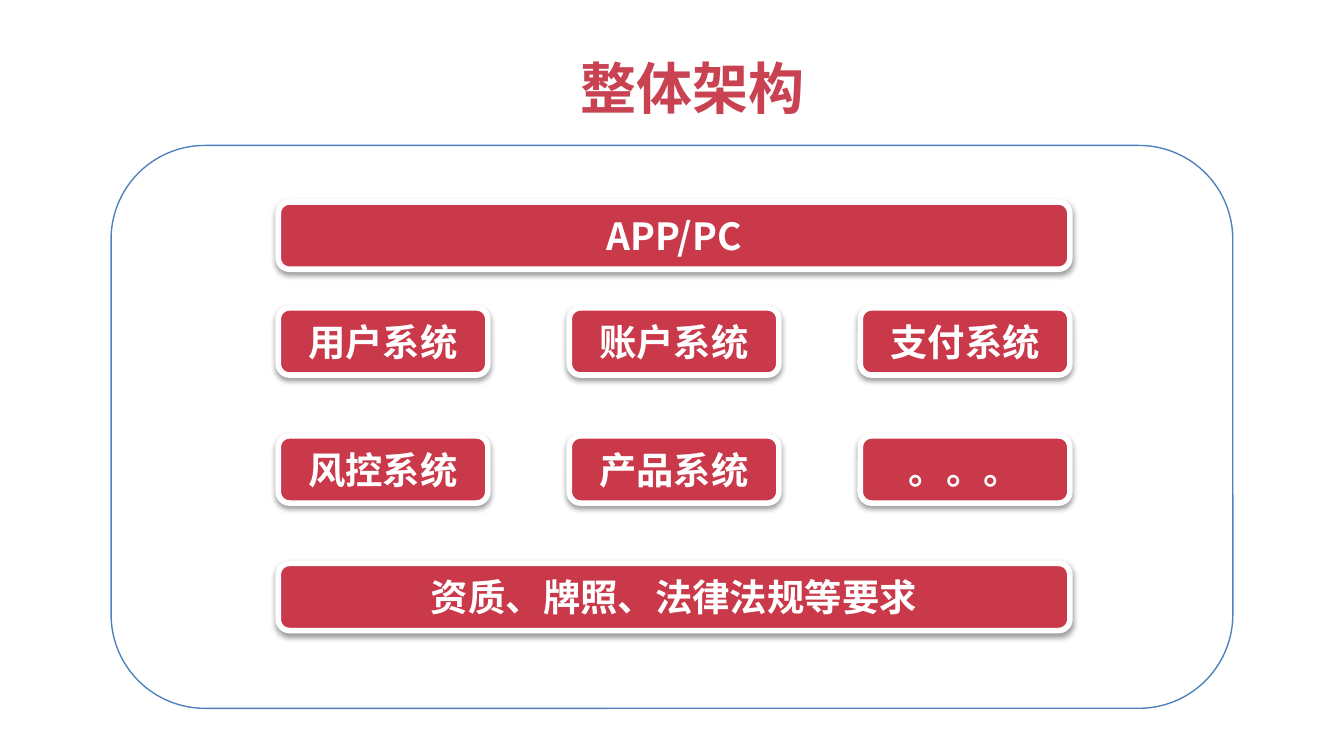
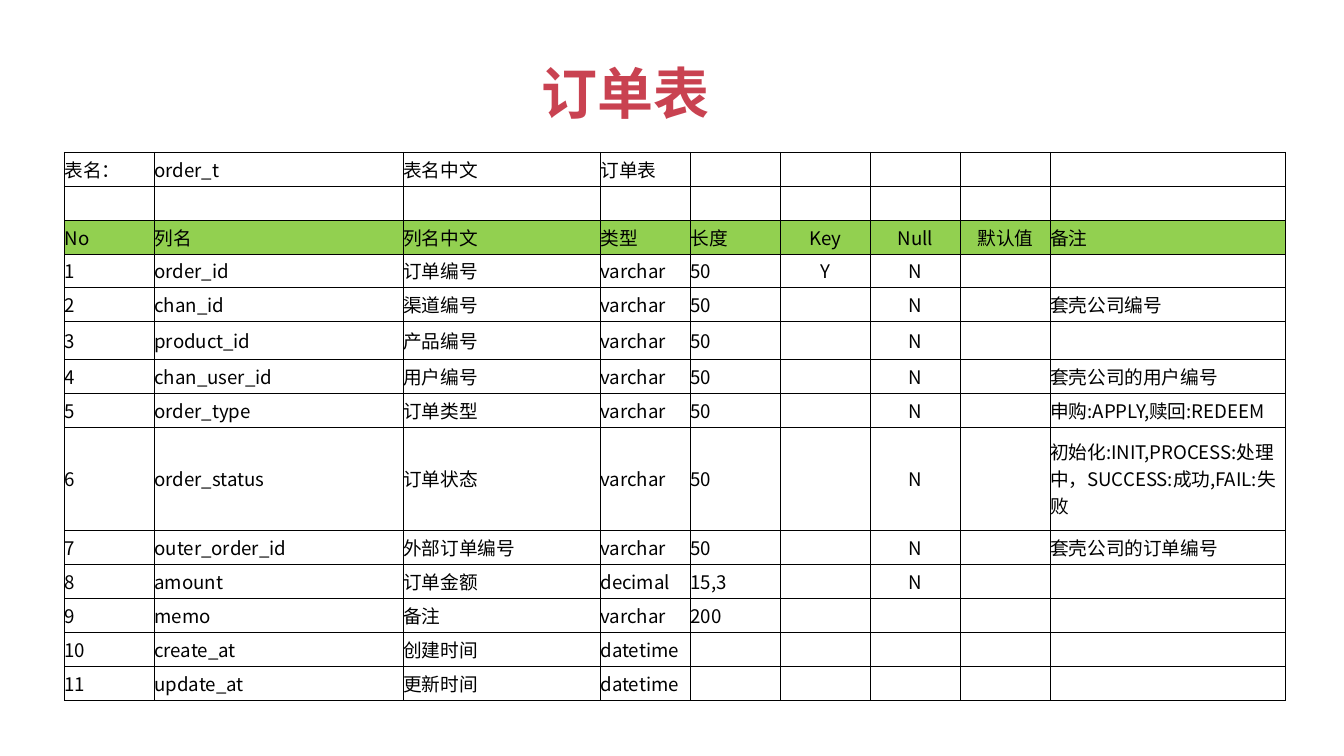
from dataclasses import dataclass

from lxml.etree import SubElement
from pptx import Presentation
from pptx.dml.color import RGBColor
from pptx.enum.shapes import MSO_SHAPE as Shape
from pptx.enum.text import MSO_ANCHOR as Anchor, MSO_AUTO_SIZE as AutoSize, PP_ALIGN as Align
from pptx.oxml.ns import qn
from pptx.util import Cm, Pt


@dataclass(frozen=True)
class Theme:
    font: str = "Noto Sans CJK SC"
    title: str = "C94251"
    box: str = "C9394A"
    white: str = "FFFFFF"
    black: str = "000000"
    frame: str = "4F81BD"
    header: str = "92D050"
    title_size: int = 30
    box_size: int = 20
    cell_size: int = 10


THEME = Theme()

BOX_LEFT, BOX_WIDTH, BOX_HEIGHT = 5.26, 3.96, 1.27
BOX_PITCH = 5.5
LAYERS = [
    (3.82, ["APP/PC"]),
    (5.82, ["用户系统", "账户系统", "支付系统"]),
    (8.24, ["风控系统", "产品系统", "。。。"]),
    (10.65, ["资质、牌照、法律法规等要求"]),
]

COLUMN_WIDTHS = [1.7, 4.7, 3.73, 1.7, 1.7, 1.7, 1.7, 1.7, 4.45]
CENTRED_COLUMNS = (5, 6, 7)
ROW_HEIGHT = 0.64
TALL_ROWS = {5: 0.71, 8: 1.96}
HEADER_ROW = 2
ORDER_ROWS = [
    ["表名：", "order_t", "表名中文", "订单表", "", "", "", "", ""],
    [""] * len(COLUMN_WIDTHS),
    ["No", "列名", "列名中文", "类型", "长度", "Key", "Null", "默认值", "备注"],
    ["1", "order_id", "订单编号", "varchar", "50", "Y", "N", "", ""],
    ["2", "chan_id", "渠道编号", "varchar", "50", "", "N", "", "套壳公司编号"],
    ["3", "product_id", "产品编号", "varchar", "50", "", "N", "", ""],
    ["4", "chan_user_id", "用户编号", "varchar", "50", "", "N", "", "套壳公司的用户编号"],
    ["5", "order_type", "订单类型", "varchar", "50", "", "N", "", "申购:APPLY,赎回:REDEEM"],
    ["6", "order_status", "订单状态", "varchar", "50", "", "N", "",
     "初始化:INIT,PROCESS:处理中，SUCCESS:成功,FAIL:失败"],
    ["7", "outer_order_id", "外部订单编号", "varchar", "50", "", "N", "", "套壳公司的订单编号"],
    ["8", "amount", "订单金额", "decimal", "15,3", "", "N", "", ""],
    ["9", "memo", "备注", "varchar", "200", "", "", "", ""],
    ["10", "create_at", "创建时间", "datetime", "", "", "", "", ""],
    ["11", "update_at", "更新时间", "datetime", "", "", "", "", ""],
]


def rgb(value):
    return RGBColor.from_string(value)


def write_text(frame, text, *, size, color, bold=False, align=Align.LEFT):
    """Fill the frame's first paragraph; an empty one keeps only its type size."""
    para = frame.paragraphs[0]
    para.alignment = align
    if not text:
        SubElement(para._p, qn("a:endParaRPr"), sz=str(size * 100))
        return
    span = para.add_run()
    span.text = text
    font = span.font
    font.name, font.size, font.bold = THEME.font, Pt(size), bold
    font.color.rgb = rgb(color)
    SubElement(span._r.get_or_add_rPr(), qn("a:ea"), typeface=THEME.font)


def add_titled_slide(deck, title, left, top, width):
    page = deck.slides.add_slide(deck.slide_layouts.get_by_name("Title Only"))
    box = page.shapes.title
    box.left, box.top, box.width, box.height = Cm(left), Cm(top), Cm(width), Cm(1.52)
    frame = box.text_frame
    frame.margin_left = frame.margin_right = 0
    frame.word_wrap = False
    frame.auto_size = AutoSize.NONE
    frame.vertical_anchor = Anchor.MIDDLE
    write_text(frame, title, size=THEME.title_size, color=THEME.title,
               bold=True, align=Align.CENTER)
    return page


def add_rounded(page, left, top, width, height, *, line, line_width, fill=None):
    box = page.shapes.add_shape(Shape.ROUNDED_RECTANGLE,
                                Cm(left), Cm(top), Cm(width), Cm(height))
    box.shadow.inherit = False
    if fill:
        box.fill.solid()
        box.fill.fore_color.rgb = rgb(fill)
    else:
        box.fill.background()
    box.line.color.rgb = rgb(line)
    box.line.width = Pt(line_width)
    return box


def add_drop_shadow(box):
    effects = box.element.spPr.find(qn("a:effectLst"))
    shadow = SubElement(effects, qn("a:outerShdw"), blurRad=str(Pt(3.1)),
                        dist=str(Pt(1.6)), dir="5400000", rotWithShape="0")
    color = SubElement(shadow, qn("a:srgbClr"), val=THEME.black)
    SubElement(color, qn("a:alpha"), val="38000")


def add_system_box(page, text, left, top, width):
    box = add_rounded(page, left, top, width, BOX_HEIGHT,
                      line=THEME.white, line_width=3, fill=THEME.box)
    add_drop_shadow(box)
    frame = box.text_frame
    frame.word_wrap = True
    frame.vertical_anchor = Anchor.MIDDLE
    write_text(frame, text, size=THEME.box_size, color=THEME.white,
               bold=True, align=Align.CENTER)


def set_borders(cell, **widths):
    """Draw the borders named L, R, T and B, with widths in points."""
    properties = cell._tc.get_or_add_tcPr()
    for side, width in widths.items():
        line = SubElement(properties, qn(f"a:ln{side}"), w=str(Pt(width)))
        fill = SubElement(line, qn("a:solidFill"))
        SubElement(fill, qn("a:srgbClr"), val=THEME.black)


def format_cell(cell, text, row, column):
    cell.margin_left = cell.margin_right = cell.margin_top = cell.margin_bottom = 0
    cell.vertical_anchor = Anchor.MIDDLE
    side = 0.75 if row < HEADER_ROW else 0.5
    bottom = 0.75 if row == 0 else 0.5
    set_borders(cell, L=side, R=side, T=side, B=bottom)
    if row == HEADER_ROW:
        cell.fill.solid()
        cell.fill.fore_color.rgb = rgb(THEME.header)
    else:
        cell.fill.background()
    align = Align.CENTER if column in CENTRED_COLUMNS else Align.LEFT
    write_text(cell.text_frame, text, size=THEME.cell_size,
               color=THEME.black, align=align)


def add_order_table(page, left, top):
    heights = [TALL_ROWS.get(row, ROW_HEIGHT) for row in range(len(ORDER_ROWS))]
    table = page.shapes.add_table(len(heights), len(COLUMN_WIDTHS), Cm(left), Cm(top),
                                  Cm(sum(COLUMN_WIDTHS)), Cm(sum(heights))).table
    table.first_row = table.horz_banding = False
    for column, width in zip(table.columns, COLUMN_WIDTHS):
        column.width = Cm(width)
    for row, (height, texts) in enumerate(zip(heights, ORDER_ROWS)):
        table.rows[row].height = Cm(height)
        for column, text in enumerate(texts):
            format_cell(table.cell(row, column), text, row, column)


def build_architecture(deck):
    page = add_titled_slide(deck, "整体架构", 10.72, 0.89, 4.75)
    add_rounded(page, 2.1, 2.75, 21.2, 10.64, line=THEME.frame, line_width=0.75)
    full_width = 2 * BOX_PITCH + BOX_WIDTH
    for top, names in LAYERS:
        width = full_width if len(names) == 1 else BOX_WIDTH
        for index, name in enumerate(names):
            add_system_box(page, name, BOX_LEFT + index * BOX_PITCH, top, width)


def build_order_table(deck):
    page = add_titled_slide(deck, "订单表", 9.98, 0.99, 3.68)
    add_order_table(page, 1.22, 2.88)


def main():
    deck = Presentation()
    deck.slide_width, deck.slide_height = Cm(25.4), Cm(14.29)
    build_architecture(deck)
    build_order_table(deck)
    deck.save("out.pptx")


if __name__ == "__main__":
    main()
